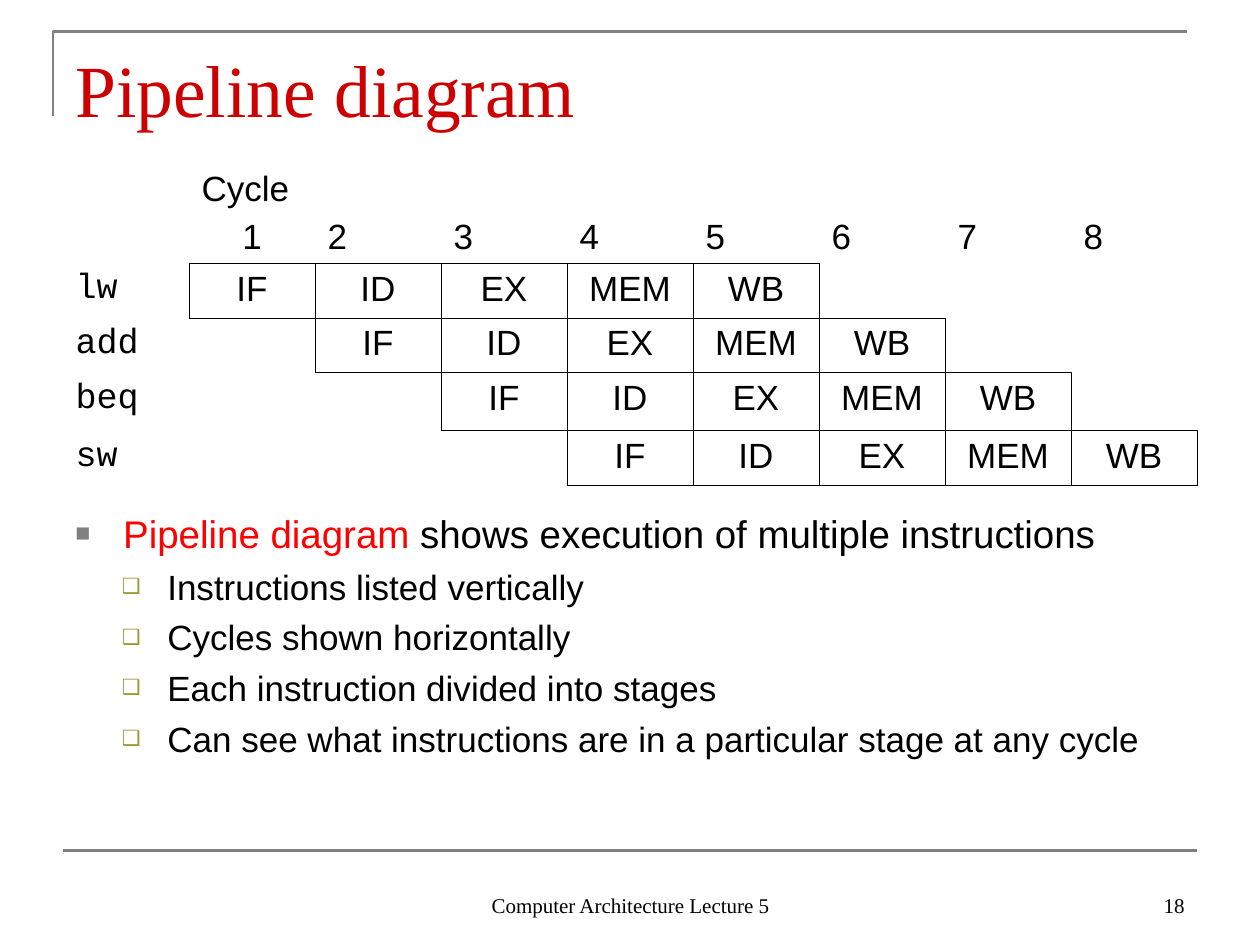
from pptx import Presentation
from pptx.dml.color import RGBColor
from pptx.enum.shapes import MSO_CONNECTOR
from pptx.enum.text import MSO_ANCHOR as Anchor, PP_ALIGN as Align
from pptx.oxml.ns import qn
from pptx.util import Inches, Pt
from lxml.etree import SubElement

SANS, SERIF, MONO = "Arial", "Times New Roman", "Courier New"
BLACK, GRAY, OLIVE, RED, DARK_RED = "000000", "808080", "999933", "FF0000", "CC0000"
STAGES = ["IF", "ID", "EX", "MEM", "WB"]
INSTRUCTIONS = ["lw", "add", "beq", "sw"]
CYCLES = 8
ROW_HEIGHTS = [0.84, 0.43, 0.43, 0.46, 0.43]
NO_TABLE_STYLE = "{2D5ABB26-0587-4C30-8999-92F81FD0307C}"


def color(value):
    return RGBColor.from_string(value)


def is_stage(row, column):
    return row >= 1 and 0 <= column - row < len(STAGES)


class SlideBuilder:
    def __init__(self, slide):
        self.slide = slide
        self.line_color = GRAY
        self.line_width = Pt(1.5)

    def style_line(self, line):
        line.color.rgb = color(self.line_color)
        line.width = self.line_width

    def style_font(self, font, size, name=SANS, fill=BLACK):
        font.size = Pt(size)
        font.name = name
        font.color.rgb = color(fill)

    def corner(self, left, top, right, bottom):
        builder = self.slide.shapes.build_freeform(Inches(left), Inches(bottom))
        points = [(left, top), (right, top)]
        builder.add_line_segments([(Inches(x), Inches(y)) for x, y in points], close=False)
        shape = builder.convert_to_shape()
        shape.shadow.inherit = False
        shape.fill.background()
        self.style_line(shape.line)

    def rule(self, left, right, y):
        connector = self.slide.shapes.add_connector(
            MSO_CONNECTOR.STRAIGHT, Inches(left), Inches(y), Inches(right), Inches(y))
        self.style_line(connector.line)
        SubElement(connector._element.spPr, qn("a:effectLst"))

    def text_box(self, box, anchor=Anchor.TOP):
        text_frame = self.slide.shapes.add_textbox(*map(Inches, box)).text_frame
        text_frame.word_wrap = True
        text_frame.vertical_anchor = anchor
        return text_frame

    def label(self, box, text, size, fill=BLACK, align=Align.LEFT, anchor=Anchor.BOTTOM):
        text_frame = self.text_box(box, anchor)
        text_frame.text = text
        paragraph = text_frame.paragraphs[0]
        paragraph.alignment = align
        self.style_font(paragraph.runs[0].font, size, SERIF, fill)

    def bullet(self, paragraph, symbol, fill, percent, margin, indent):
        properties = paragraph._p.get_or_add_pPr()
        properties.set("marL", str(Inches(margin)))
        properties.set("indent", str(Inches(-indent)))
        bullet_color = SubElement(properties, qn("a:buClr"))
        SubElement(bullet_color, qn("a:srgbClr"), val=fill)
        SubElement(properties, qn("a:buSzPct"), val=str(percent * 1000))
        SubElement(properties, qn("a:buFont"), typeface=SANS)
        SubElement(properties, qn("a:buChar"), char=symbol)

    def bullet_list(self, box, term, statement, points):
        text_frame = self.text_box(box)
        heading = text_frame.paragraphs[0]
        self.bullet(heading, "■", GRAY, 65, 0.38, 0.38)
        for text, fill in [(term, RED), (statement, BLACK)]:
            run = heading.add_run()
            run.text = text
            self.style_font(run.font, 22, fill=fill)
        for point in points:
            paragraph = text_frame.add_paragraph()
            paragraph.text = point
            paragraph.level = 1
            paragraph.space_before = Pt(5)
            self.bullet(paragraph, "❑", OLIVE, 60, 0.73, 0.36)
            self.style_font(paragraph.runs[0].font, 20)

    def cell_borders(self, cell, row, column):
        properties = cell._tc.get_or_add_tcPr()
        neighbors = {"L": (row, column - 1), "R": (row, column + 1),
                     "T": (row - 1, column), "B": (row + 1, column)}
        for side, (next_row, next_column) in neighbors.items():
            border = SubElement(properties, qn(f"a:ln{side}"), w=str(Pt(0.45)))
            inside = next_row < len(ROW_HEIGHTS) and next_column <= CYCLES
            if is_stage(row, column) or inside and is_stage(next_row, next_column):
                fill = SubElement(border, qn("a:solidFill"))
                SubElement(fill, qn("a:srgbClr"), val=BLACK)
            else:
                SubElement(border, qn("a:noFill"))

    def cell_text(self, cell, row, column):
        name, align = SANS, Align.LEFT
        if row == 0:
            cell.vertical_anchor = Anchor.BOTTOM
            text = "Cycle\n1" if column == 1 else str(column or "")
        elif column == 0:
            text, name = INSTRUCTIONS[row - 1], MONO
        elif is_stage(row, column):
            text, align = STAGES[column - row], Align.CENTER
        else:
            return
        cell.text_frame.text = text
        for index, paragraph in enumerate(cell.text_frame.paragraphs):
            paragraph.alignment = align
            if index:
                paragraph.alignment = Align.CENTER
                paragraph.space_before = Pt(5)
            for run in paragraph.runs:
                self.style_font(run.font, 20, name)

    def pipeline_table(self, left, top):
        columns = CYCLES + 1
        table = self.slide.shapes.add_table(
            len(ROW_HEIGHTS), columns, Inches(left), Inches(top),
            Inches(columns), Inches(sum(ROW_HEIGHTS))).table
        table.first_row = table.horz_banding = False
        table._tbl.tblPr.find(qn("a:tableStyleId")).text = NO_TABLE_STYLE
        for row, height in enumerate(ROW_HEIGHTS):
            table.rows[row].height = Inches(height)
            for column in range(columns):
                cell = table.cell(row, column)
                self.cell_text(cell, row, column)
                self.cell_borders(cell, row, column)
                cell.fill.background()


def main():
    presentation = Presentation()
    presentation.slide_width = Inches(10)
    presentation.slide_height = Inches(7.5)
    builder = SlideBuilder(presentation.slides.add_slide(presentation.slide_layouts[6]))
    builder.corner(0.42, 0.25, 9.42, 0.92)
    builder.rule(0.5, 9.5, 6.75)
    builder.label((3.42, 6.83, 3.17, 0.5), "Computer Architecture Lecture 5", 12,
                  align=Align.CENTER)
    builder.label((7.17, 6.83, 2.33, 0.5), "18", 12, align=Align.RIGHT)
    builder.label((0.5, 0.3, 9, 0.78), "Pipeline diagram", 42, DARK_RED, anchor=Anchor.TOP)
    builder.pipeline_table(0.5, 1.25)
    builder.bullet_list(
        (0.5, 4, 9, 2.7), "Pipeline diagram", " shows execution of multiple instructions",
        ["Instructions listed vertically",
         "Cycles shown horizontally",
         "Each instruction divided into stages",
         "Can see what instructions are in a particular stage at any cycle"])
    presentation.save("out.pptx")


if __name__ == "__main__":
    main()
